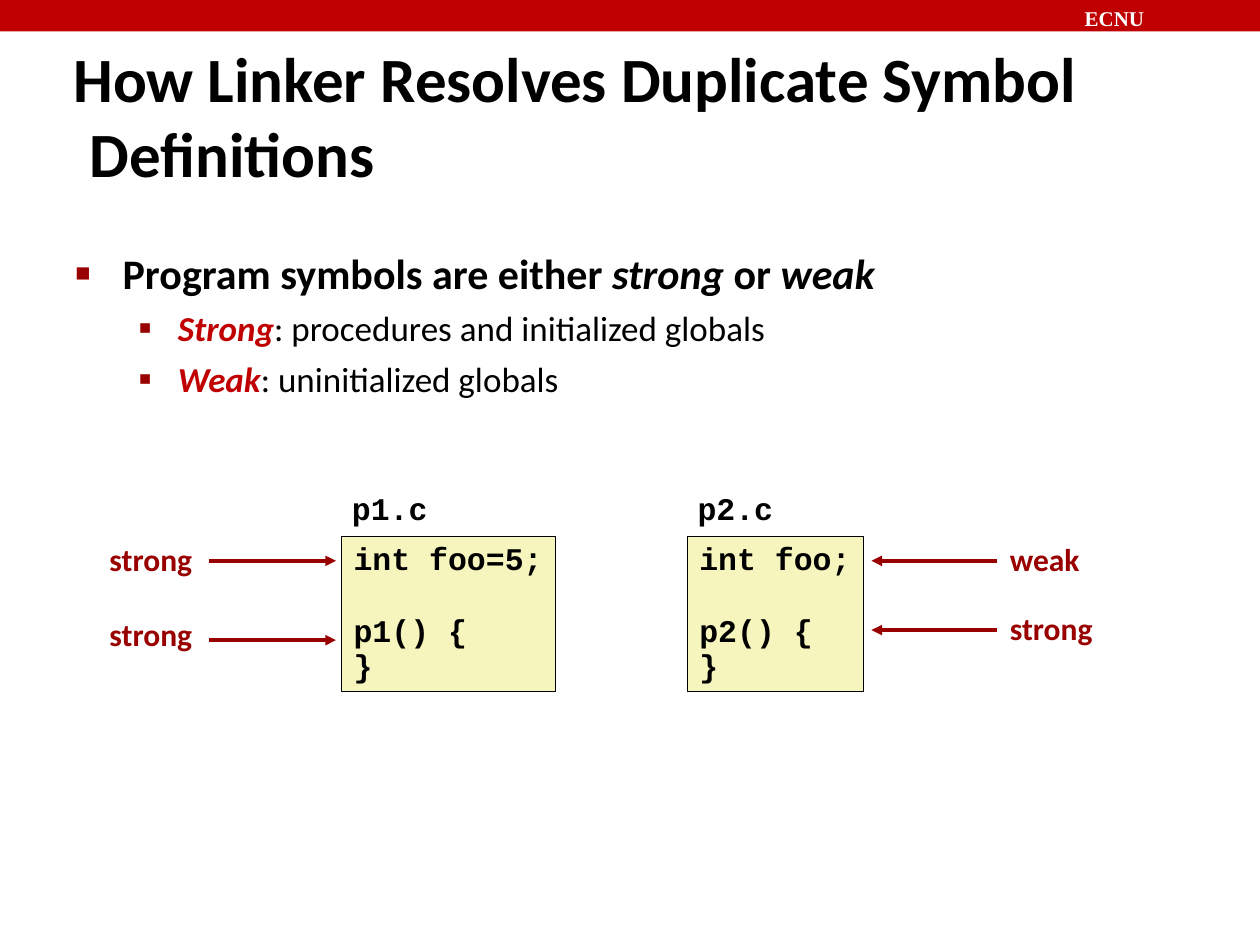
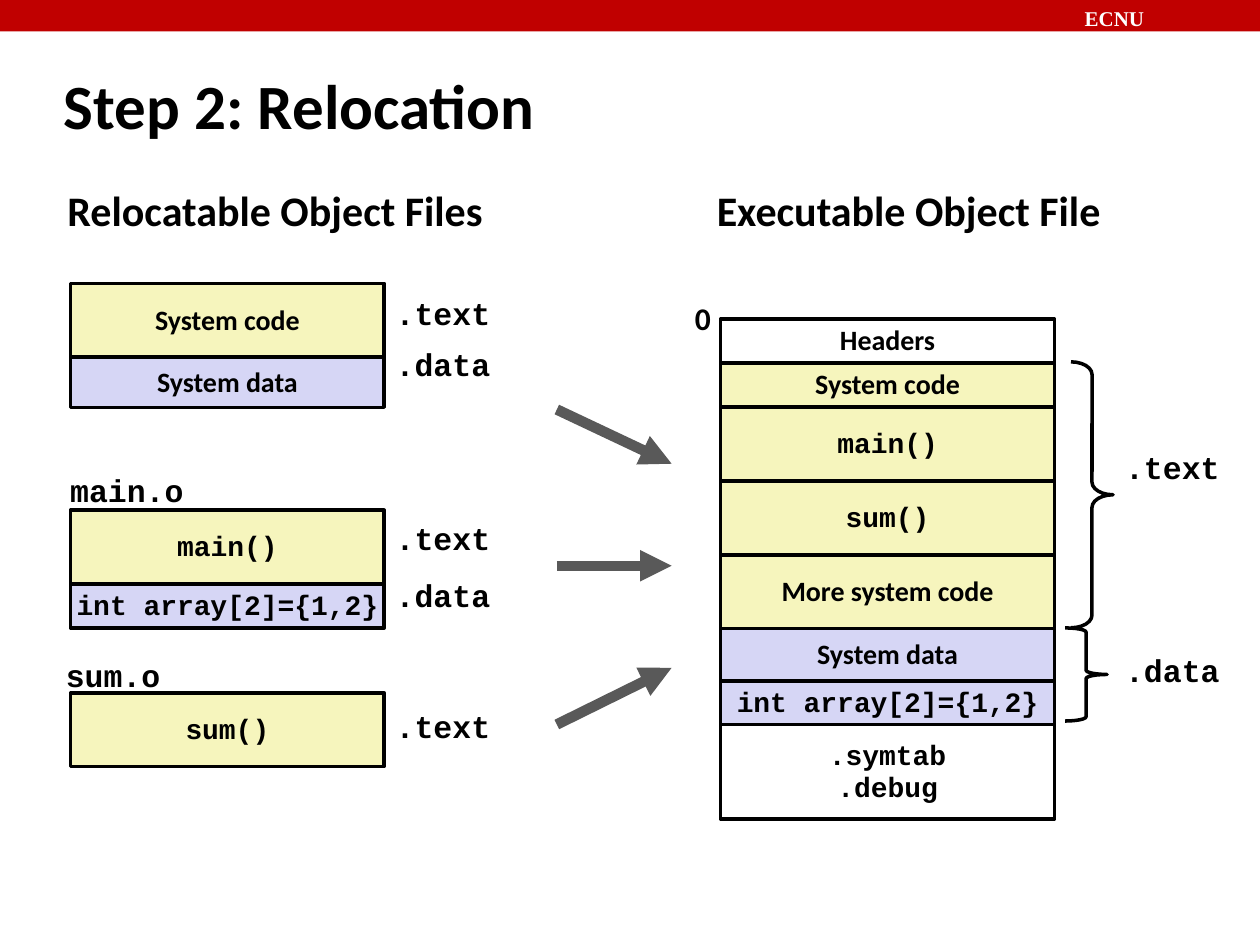
"""Build two slides on linker symbol resolution and relocation."""
from typing import NamedTuple

from lxml import etree
from pptx import Presentation
from pptx.dml.color import RGBColor
from pptx.enum import shapes, text
from pptx.oxml import ns
from pptx.slide import Slide
from pptx.util import Pt

RED = RGBColor(0xC0, 0x00, 0x00)
DARK = RGBColor(0x99, 0x00, 0x00)
BLACK = RGBColor(0x00, 0x00, 0x00)
WHITE = RGBColor(0xFF, 0xFF, 0xFF)
GRAY = RGBColor(0x59, 0x59, 0x59)
CREAM = RGBColor(0xF6, 0xF5, 0xBD)
LILAC = RGBColor(0xD6, 0xD6, 0xF5)
SANS, MONO, SERIF = "Calibri", "Courier New", "Times New Roman"
LEADS = {SANS: 0.98, MONO: 0.94}
LEFT, MID = text.PP_ALIGN.LEFT, text.PP_ALIGN.CENTER


class Spot(NamedTuple):
    """Place and size of a box in points."""
    left: float
    top: float
    width: float
    height: float


class Cell(NamedTuple):
    """One section of a file."""
    label: str
    height: float
    fill: RGBColor
    font: str = SANS


class Stack(NamedTuple):
    """A file drawn as a column of sections."""
    left: float
    top: float
    width: float
    cells: list[Cell]


class Label(NamedTuple):
    """A short text that sizes itself."""
    words: str
    spot: Spot
    font: str = MONO
    size: float = 18
    color: RGBColor = BLACK


class Arrow(NamedTuple):
    """A line from one point to another."""
    x1: float
    y1: float
    x2: float
    y2: float


class Brace(NamedTuple):
    """A right brace with its curve ratio."""
    spot: Spot
    curve: float


class Point(NamedTuple):
    """A bullet paragraph with (words, colour, bold, italic) runs."""
    level: int
    runs: list[tuple[str, RGBColor, bool, bool]]


class Style(NamedTuple):
    """Look of one bullet level."""
    size: float
    left: float
    hang: float
    before: float
    mark: str
    scale: int


STYLES = [Style(24, 27, 27, 6, "■", 60), Style(20, 58.5, 22.5, 5, "▪", 110)]


def places(spot: Spot) -> list[Pt]:
    """Convert a spot to lengths."""
    return [Pt(side) for side in spot]


def write(para, words: str, *, font=SANS, size=18, color=BLACK, bold=True,
          italic=False) -> None:
    """Add one formatted run to a paragraph."""
    run = para.add_run()
    run.text = words
    face = run.font
    face.name, face.size, face.bold, face.italic = font, Pt(size), bold, italic
    face.color.rgb = color


def fill_text(shape, words: str, *, align=LEFT, grow=False, gap=20.4, font=SANS,
              **look) -> None:
    """Write lines in a shape, turning an empty line into space before."""
    frame = shape.text_frame
    frame.word_wrap = False
    if grow:
        frame.auto_size = text.MSO_AUTO_SIZE.SHAPE_TO_FIT_TEXT
    frame.vertical_anchor = text.MSO_ANCHOR.TOP if grow else text.MSO_ANCHOR.MIDDLE
    blank = False
    for row, line in enumerate(words.split("\n")):
        if not line:
            blank = True
            continue
        para = frame.add_paragraph() if row else frame.paragraphs[0]
        para.alignment, para.line_spacing = align, LEADS[font]
        if blank:
            para.space_before, blank = Pt(gap), False
        write(para, line, font=font, **look)


def box(slide: Slide, spot: Spot, fill: RGBColor, line: float = 0):
    """Draw a plain rectangle, outlined in black if line has a width."""
    shape = slide.shapes.add_shape(shapes.MSO_SHAPE.RECTANGLE, *places(spot))
    shape.shadow.inherit = False
    shape.fill.solid()
    shape.fill.fore_color.rgb = fill
    if line:
        shape.line.color.rgb, shape.line.width = BLACK, Pt(line)
    else:
        shape.line.fill.background()
    return shape


def note(slide: Slide, label: Label) -> None:
    """Draw a label."""
    shape = slide.shapes.add_textbox(*places(label.spot))
    fill_text(shape, label.words, grow=True, font=label.font,
              size=label.size, color=label.color)


def pile(slide: Slide, stack: Stack) -> None:
    """Draw the sections of a file, top to bottom."""
    top = stack.top
    for cell in stack.cells:
        spot = Spot(stack.left, top, stack.width, cell.height)
        fill_text(box(slide, spot, cell.fill, 2), cell.label, align=MID,
                  font=cell.font, size=16)
        top += cell.height


def point_to(slide: Slide, arrow: Arrow, color: RGBColor, width: float) -> None:
    """Draw a line with an arrowhead at its end."""
    line = slide.shapes.add_connector(shapes.MSO_CONNECTOR.STRAIGHT, *places(arrow))
    line.line.color.rgb, line.line.width = color, Pt(width)
    etree.SubElement(line.line._get_or_add_ln(), ns.qn("a:tailEnd"), type="triangle")
    etree.SubElement(line._element.spPr, ns.qn("a:effectLst"))


def clasp(slide: Slide, brace: Brace) -> None:
    """Draw a right brace."""
    shape = slide.shapes.add_shape(shapes.MSO_SHAPE.RIGHT_BRACE, *places(brace.spot))
    shape.shadow.inherit = False
    shape.fill.background()
    shape.line.color.rgb, shape.line.width = BLACK, Pt(2)
    shape.adjustments[0] = brace.curve


def indent(para, left: float, hang: float):
    """Set a hanging indent and return the paragraph properties."""
    props = para._p.get_or_add_pPr()
    props.set("marL", str(Pt(left)))
    props.set("indent", str(-Pt(hang)))
    return props


def bullets(slide: Slide, spot: Spot, points: list[Point]) -> None:
    """Write a list with red square bullets."""
    frame = slide.shapes.add_textbox(*places(spot)).text_frame
    frame.word_wrap = True
    for row, point in enumerate(points):
        style = STYLES[point.level]
        para = frame.add_paragraph() if row else frame.paragraphs[0]
        props = indent(para, style.left, style.hang)
        tint = etree.SubElement(props, ns.qn("a:buClr"))
        etree.SubElement(tint, ns.qn("a:srgbClr"), val=str(DARK))
        etree.SubElement(props, ns.qn("a:buSzPct"), val=str(style.scale * 1000))
        etree.SubElement(props, ns.qn("a:buFont"), typeface=SERIF)
        etree.SubElement(props, ns.qn("a:buChar"), char=style.mark)
        if row:
            para.space_before = Pt(style.before)
        for words, color, bold, italic in point.runs:
            write(para, words, size=style.size, color=color, bold=bold, italic=italic)


def start(deck, title: str, spot: Spot) -> Slide:
    """Add a slide with the top band and a title."""
    slide = deck.slides.add_slide(deck.slide_layouts[6])
    box(slide, Spot(0, 0, 720, 18), RED)
    frame = slide.shapes.add_textbox(*places(Spot(617, 0, 103, 18))).text_frame
    frame.margin_left = frame.margin_top = frame.margin_right = Pt(2.88)
    frame.margin_bottom = Pt(2.88)
    write(frame.paragraphs[0], "ECNU", font=SERIF, size=12, color=WHITE)
    head = slide.shapes.add_textbox(*places(spot)).text_frame
    head.word_wrap, head.vertical_anchor = True, text.MSO_ANCHOR.MIDDLE
    indent(head.paragraphs[0], 9.36, 9.36)
    write(head.paragraphs[0], title, size=36)
    return slide


def symbols(deck) -> None:
    """Build the slide on strong and weak symbols."""
    slide = start(deck, "How Linker Resolves Duplicate Symbol Definitions",
                  Spot(34.8, 34.5, 685, 62))
    bullets(slide, Spot(36, 138, 654.5, 113.8), [
        Point(0, [("Program symbols are either ", BLACK, True, False),
                  ("strong", BLACK, True, True), (" or ", BLACK, True, False),
                  ("weak", BLACK, True, True)]),
        Point(1, [("Strong", RED, True, True),
                  (": procedures and initialized globals", BLACK, False, False)]),
        Point(1, [("Weak", RED, True, True),
                  (": uninitialized globals", BLACK, False, False)]),
    ])
    for name, init, left, width in (("p1", "=5", 195, 122.5), ("p2", "", 392.5, 101)):
        code = box(slide, Spot(left, 306.5, width, 88.5), CREAM, 0.25)
        fill_text(code, f"int foo{init};\n\n{name}() {{\n}}", grow=True, font=MONO)
        note(slide, Label(f"{name}.c", Spot(left - 1, 277.5, 60, 27.4)))
    for words, left, top in (("strong", 55.5, 306), ("strong", 55.5, 349),
                             ("weak", 570, 306), ("strong", 570, 345.6)):
        note(slide, Label(words, Spot(left, top, 64, 28.8), SANS, color=DARK))
    for start_x, end_x, y in ((119.5, 192, 320.5), (119.5, 192, 365.8),
                              (570, 498, 320.5), (570, 498, 360)):
        point_to(slide, Arrow(start_x, y, end_x, y), DARK, 2)


def relocate(deck) -> None:
    """Build the slide on relocation."""
    slide = start(deck, "Step 2: Relocation", Spot(29.5, 36.7, 598, 45.4))
    system = Cell("System data", 28.8, LILAC)
    main = Cell("main()", 42, CREAM, MONO)
    total = Cell("sum()", 42, CREAM, MONO)
    array = Cell("int array[2]={1,2}", 25.2, LILAC, MONO)
    for stack in (
        Stack(40.3, 162, 179.3, [Cell("System code", 42, CREAM), system]),
        Stack(40.3, 291.6, 179.3, [main, array]),
        Stack(40.3, 396, 179.3, [total]),
        Stack(411.8, 182.2, 190.8, [
            Cell("Headers", 25.2, WHITE), Cell("System code", 25.2, CREAM),
            main._replace(height=42.2), total._replace(height=42.2),
            Cell("More system code", 42.2, CREAM), system._replace(height=30),
            array._replace(height=24.8), Cell(".symtab\n.debug", 54, WHITE, MONO)]),
    ):
        pile(slide, stack)
    for label in (
        Label("Relocatable Object Files", Spot(31.5, 103, 255, 35.3), SANS, 24),
        Label("Executable Object File", Spot(402.5, 103, 237, 35.3), SANS, 24),
        Label("main.o", Spot(33, 267.3, 82, 27.4)),
        Label("sum.o", Spot(30.5, 373, 71, 27.4)),
        Label("0", Spot(390, 168.5, 25, 28.8), SANS),
    ):
        note(slide, label)
    for words, left, top in ((".text", 219, 166.3), (".data", 219, 195.1),
                             (".text", 219, 294.8), (".data", 219, 327.2),
                             (".text", 219, 402), (".text", 635.8, 254.2),
                             (".data", 635.8, 370)):
        note(slide, Label(words, Spot(left, top, 71, 27.4)))
    for brace in (Brace(Spot(612, 206.8, 24, 152), 0.3),
                  Brace(Spot(608.6, 358.8, 24, 53.2), 0.1)):
        clasp(slide, brace)
    for y1, y2 in ((234, 265), (323.3, 323.3), (414, 381.6)):
        point_to(slide, Arrow(318.2, y1, 383.8, y2), GRAY, 6)


def main() -> None:
    """Build and save the deck."""
    deck = Presentation()
    deck.slide_width, deck.slide_height = Pt(720), Pt(540)
    symbols(deck)
    relocate(deck)
    deck.save("out.pptx")


if __name__ == "__main__":
    main()
